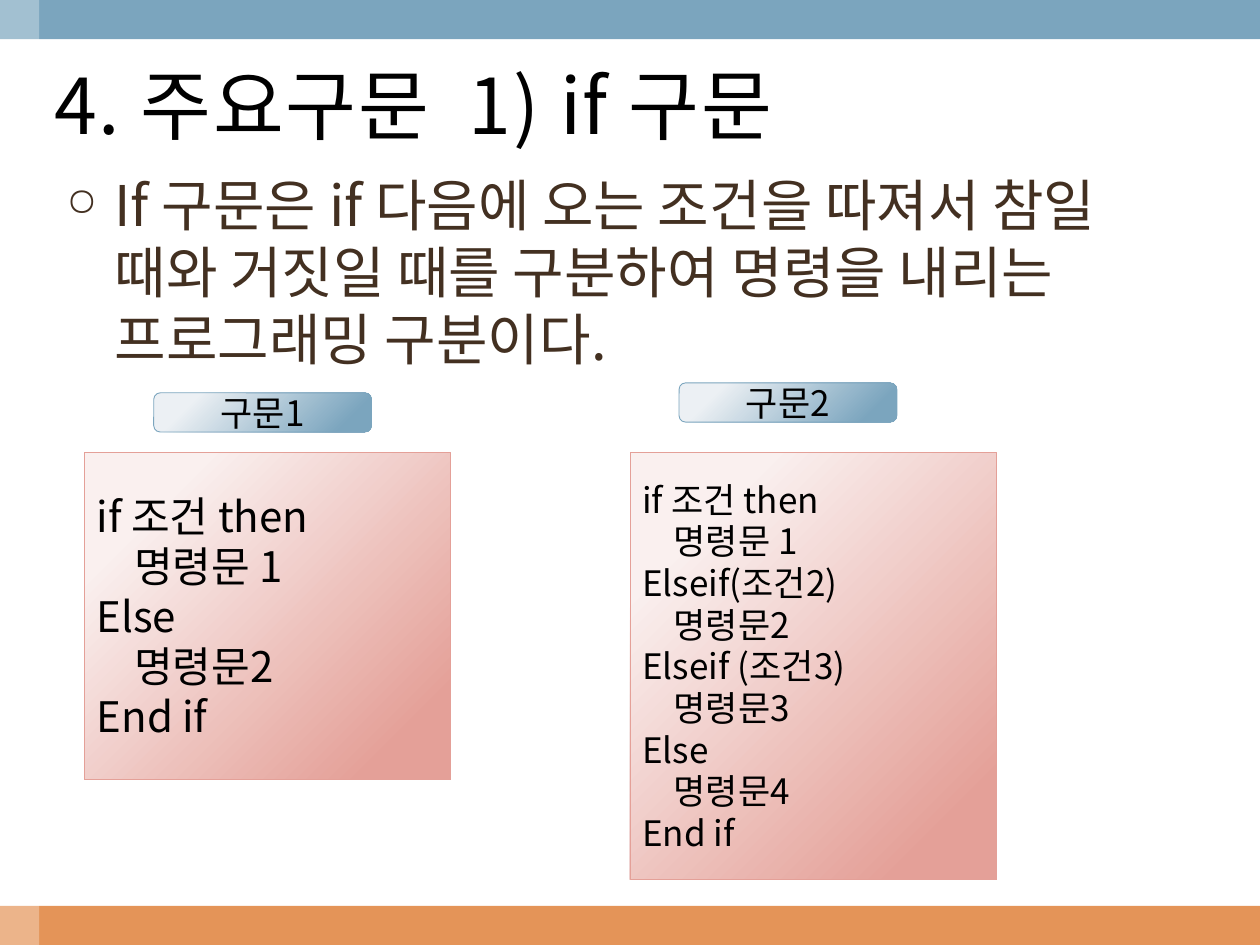
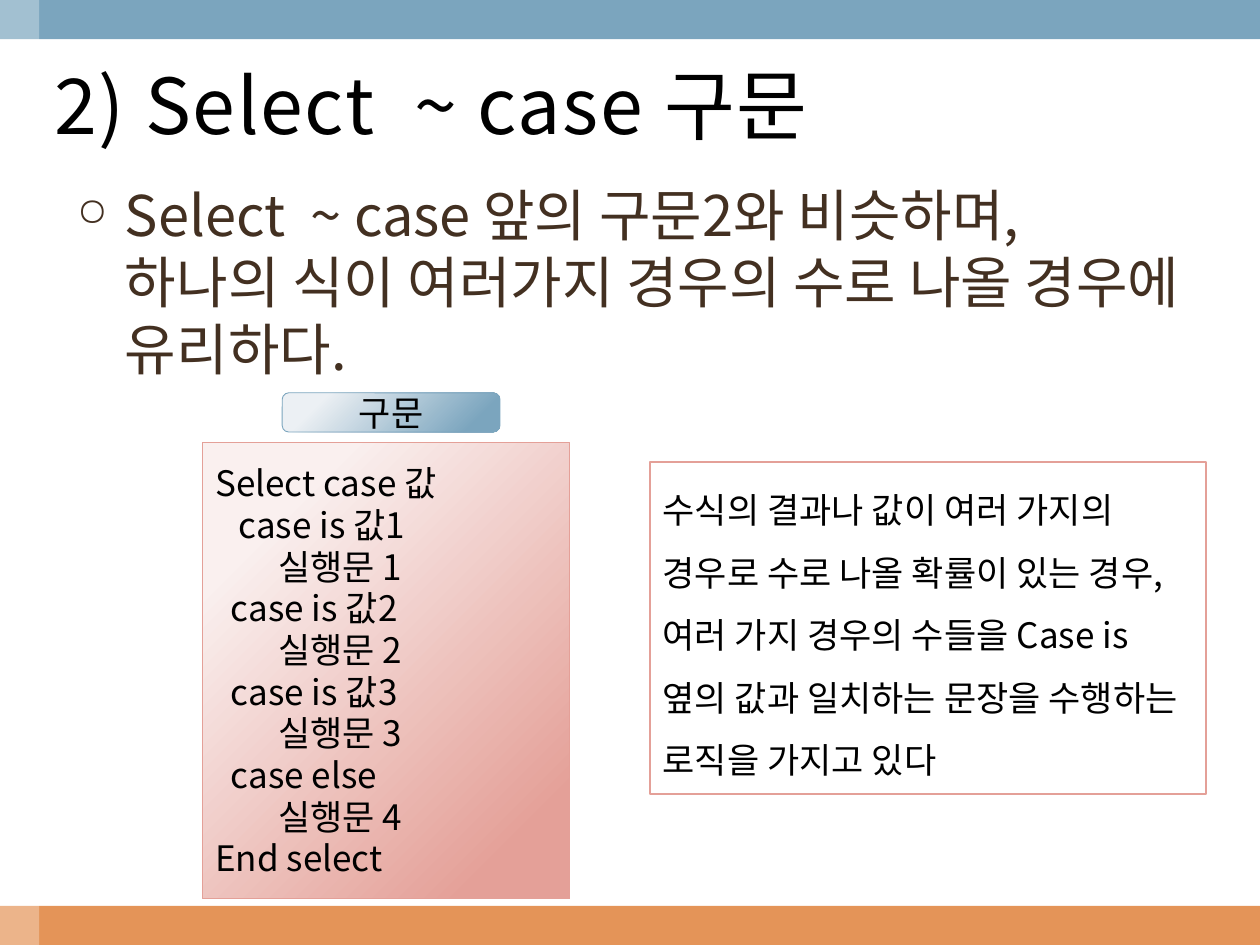
from lxml import etree
from pptx import Presentation
from pptx import util as u
from pptx.dml.color import RGBColor
from pptx.enum import shapes, text
from pptx.oxml.ns import qn

FONT = "Noto Sans CJK KR"
BLACK, WHITE, BROWN = "000000", "FFFFFF", "433021"
BLUE, PALE_BLUE = "7BA5BE", "ECF0F4"
ORANGE = "E49458"
ROSE, PALE_ROSE = "E4A098", "FAF0EF"

PAGE_WIDTH, PAGE_HEIGHT, BAND = 25.4, 19.05, 0.79
TITLE_AREA = (0.84, 0.79, 23.77, 2.62)
LABEL_SIZE = (4.39, 0.79)
CODE_WIDTH = 7.39
LINE_HEIGHT = 1.19
WIDE_SPACE = 0.22

SLIDES = [
    {
        "title": ["4. 주요구문", " ", "1) if 구문"],
        "body": ["If 구문은 if 다음에 오는 조건을 따져서 참일 때와 거짓일 때를 "
                 "구분하여 명령을 내리는 프로그래밍 구분이다."],
        "body_area": (1.09, 3.33, 22.83, 4.47),
        "labels": [("구문1", 3.1, 7.92), ("구문2", 13.69, 7.72)],
        "codes": [
            (1.7, 9.12, 6.6, 24,
             ["if 조건 then", "    명령문 1", "Else", "    명령문2", "End if"]),
            (12.7, 9.12, 8.61, 20,
             ["if 조건 then", "    명령문 1", "Elseif(조건2)", "    명령문2",
              "Elseif (조건3)", "    명령문3", "Else", "    명령문4", "End if"]),
        ],
        "notes": [],
    },
    {
        "title": ["2) Select", " ", "~ case 구문"],
        "body": ["Select", " ", "~ case 앞의 구문2와 비슷하며, 하나의 식이 여러가지 "
                 "경우의 수로 나올 경우에 유리하다."],
        "body_area": (1.3, 3.53, 22.86, 4.09),
        "labels": [("구문", 5.69, 7.92)],
        "codes": [
            (4.09, 8.92, 9.19, 20,
             ["Select case 값", "   case is 값1", "        실행문 1",
              "  case is 값2", "        실행문 2", "  case is 값3",
              "        실행문 3", "  case else", "        실행문 4",
              "End select"]),
        ],
        "notes": [
            ((13.11, 9.32, 11.2, 6.68),
             "수식의 결과나 값이 여러 가지의 경우로 수로 나올 확률이 있는 경우, "
             "여러 가지 경우의 수들을 Case is 옆의 값과 일치하는 문장을 "
             "수행하는 로직을 가지고 있다"),
        ],
    },
]


def rgb(value):
    return RGBColor.from_string(value)


def place(area):
    return [u.Cm(length) for length in area]


def add_box(slide, area, fill, line=None, line_width=0.5,
            kind=shapes.MSO_SHAPE.RECTANGLE):
    shape = slide.shapes.add_shape(kind, *place(area))
    shape.shadow.inherit = False
    if isinstance(fill, tuple):
        shape.fill.gradient()
        shape.fill.gradient_angle = 315
        for stop, color, position in zip(shape.fill.gradient_stops, fill, (0.18, 0.87)):
            stop.color.rgb = rgb(color)
            stop.position = position
    else:
        shape.fill.solid()
        shape.fill.fore_color.rgb = rgb(fill)
    if line:
        shape.line.color.rgb = rgb(line)
        shape.line.width = u.Pt(line_width)
    else:
        shape.line.fill.background()
    return shape


def add_runs(paragraph, runs, size, color, tracking=0):
    for words in runs:
        run = paragraph.add_run()
        run.text = words
        run.font.name = FONT
        run.font.size = u.Pt(size)
        run.font.color.rgb = rgb(color)
        properties = run.font._element
        latin = properties.find(qn("a:latin"))
        east_asian = etree.Element(qn("a:ea"), typeface=FONT)
        latin.addnext(east_asian)
        spacing = tracking + (size * WIDE_SPACE + tracking if words == " " else 0)
        if spacing:
            properties.set("spc", str(round(spacing * 100)))


def write(shape, paragraphs, size, color=BLACK, align=text.PP_ALIGN.LEFT,
          anchor=text.MSO_ANCHOR.MIDDLE, tracking=0, spacing=1, bullet=False):
    frame = shape.text_frame
    frame.word_wrap = True
    frame.vertical_anchor = anchor
    for index, runs in enumerate(paragraphs):
        paragraph = frame.add_paragraph() if index else frame.paragraphs[0]
        if bullet:
            add_bullet(paragraph)
        paragraph.alignment = align
        paragraph.line_spacing = u.Pt(round(size * LINE_HEIGHT * spacing, 1))
        add_runs(paragraph, runs, size, color, tracking)


def add_bullet(paragraph):
    properties = paragraph._p.get_or_add_pPr()
    indent = u.Cm(0.97)
    properties.set("marL", str(indent))
    properties.set("indent", str(-indent))
    etree.SubElement(properties, qn("a:buSzPct"), val="70000")
    etree.SubElement(properties, qn("a:buChar"), char="○")


def add_bands(slide):
    add_box(slide, (0, PAGE_HEIGHT - BAND, PAGE_WIDTH, BAND), ORANGE)
    add_box(slide, (0, 0, PAGE_WIDTH, BAND), BLUE)
    veil = add_box(slide, (0, 0, BAND, PAGE_HEIGHT), WHITE)
    color = veil._element.spPr.find(qn("a:solidFill"))[0]
    etree.SubElement(color, qn("a:alpha"), val="30000")


def build_slide(presentation, content):
    slide = presentation.slides.add_slide(presentation.slide_layouts[6])
    add_bands(slide)
    body = slide.shapes.add_textbox(*place(content["body_area"]))
    write(body, [content["body"]], 32, BROWN,
          anchor=text.MSO_ANCHOR.TOP, bullet=True)
    title = slide.shapes.add_textbox(*place(TITLE_AREA))
    write(title, [content["title"]], 44, tracking=1)
    for left, top, height, size, lines in content["codes"]:
        code = add_box(slide, (left, top, CODE_WIDTH, height), (PALE_ROSE, ROSE), ROSE)
        write(code, [[line] for line in lines], size)
    for caption, left, top in content["labels"]:
        label = add_box(slide, (left, top, *LABEL_SIZE), (PALE_BLUE, BLUE), BLUE,
                        kind=shapes.MSO_SHAPE.ROUNDED_RECTANGLE)
        write(label, [[caption]], 20, align=text.PP_ALIGN.CENTER)
    for area, explanation in content["notes"]:
        note = add_box(slide, area, WHITE, ROSE, 1.25)
        write(note, [[explanation]], 20, anchor=text.MSO_ANCHOR.TOP, spacing=1.5)


def main():
    presentation = Presentation()
    presentation.slide_width = u.Cm(PAGE_WIDTH)
    presentation.slide_height = u.Cm(PAGE_HEIGHT)
    for content in SLIDES:
        build_slide(presentation, content)
    presentation.save("out.pptx")


if __name__ == "__main__":
    main()
